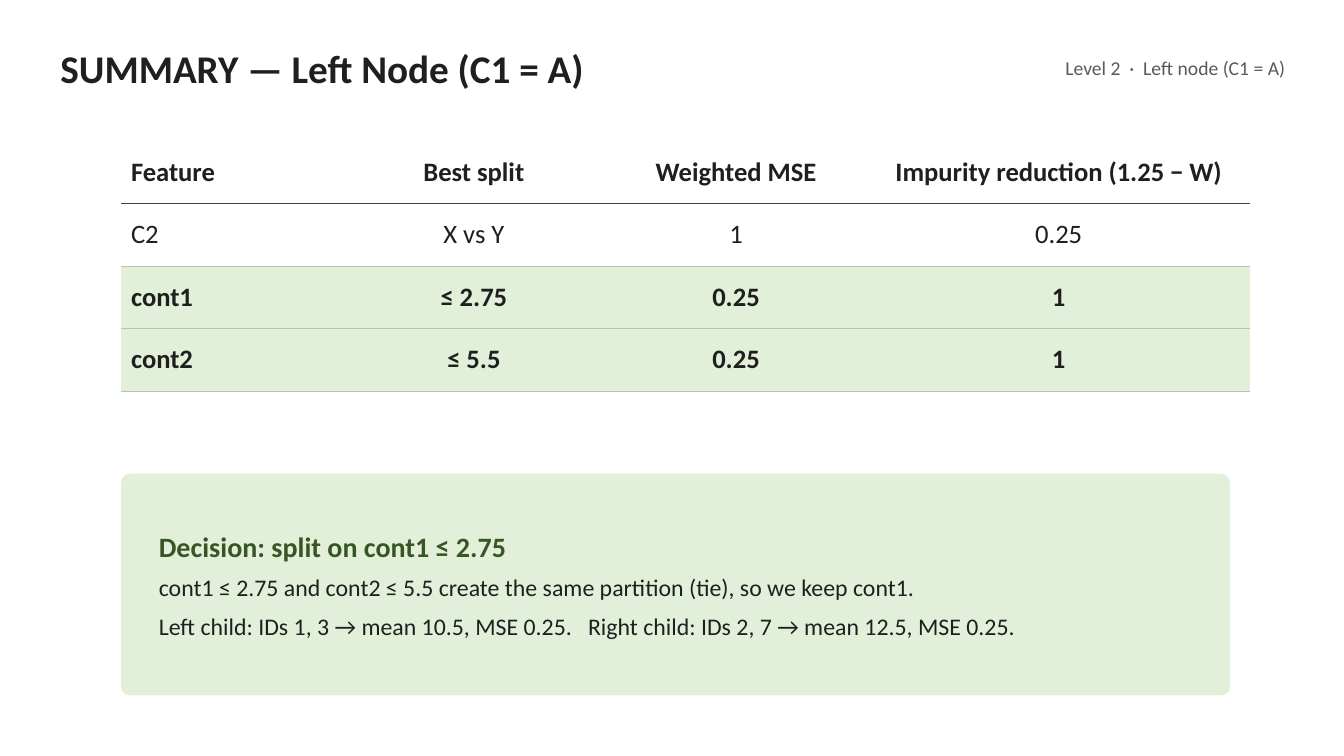
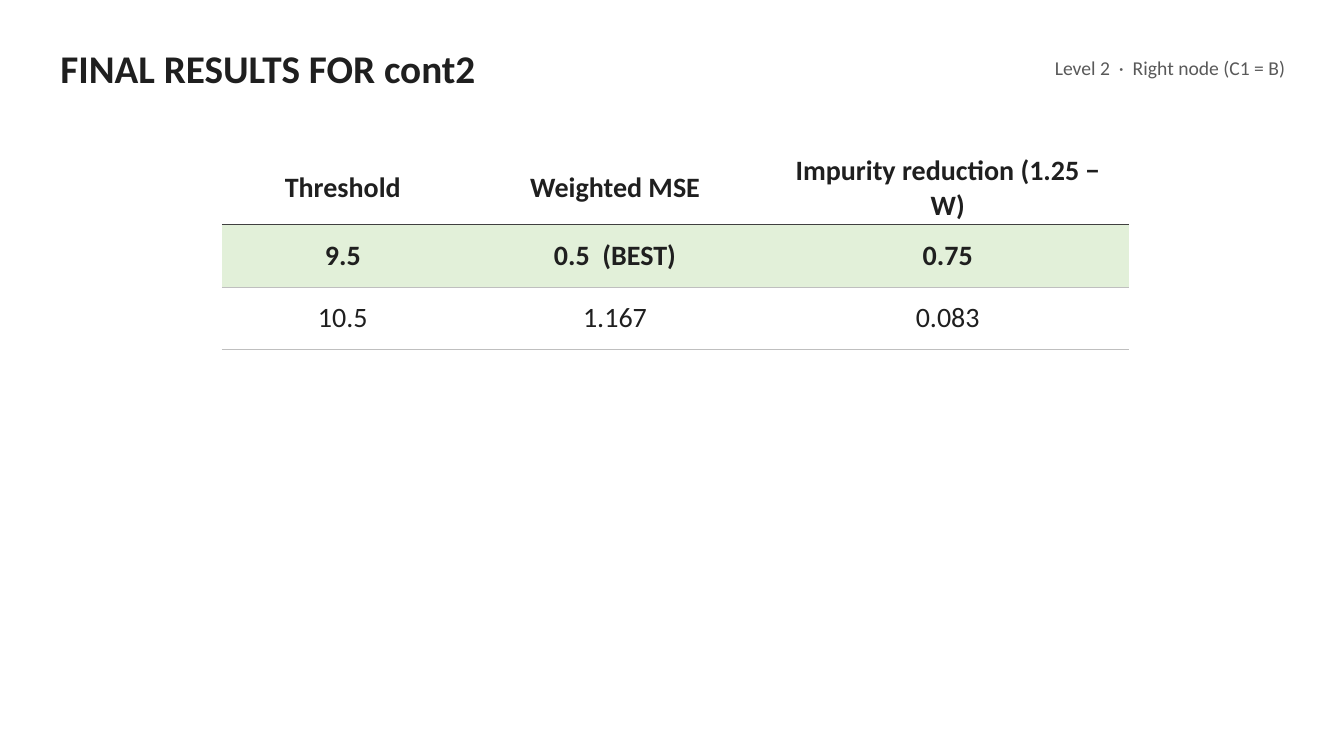
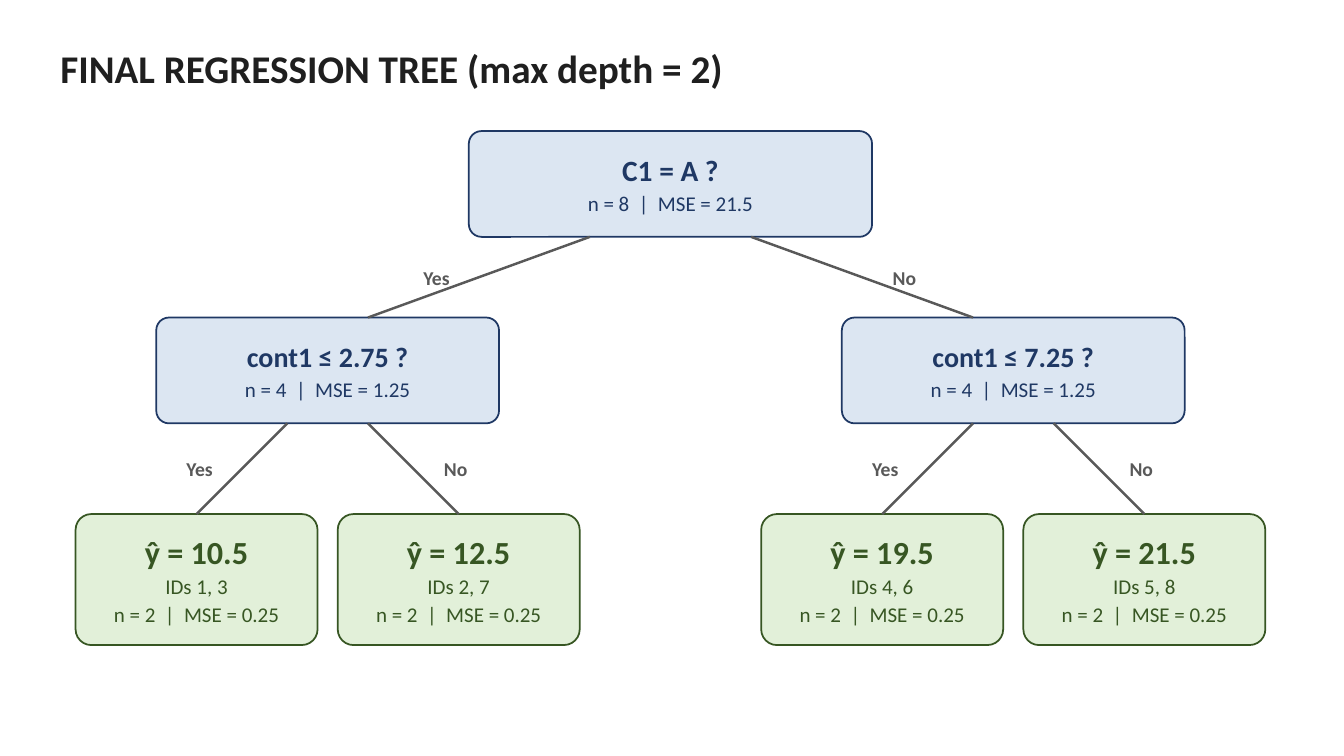
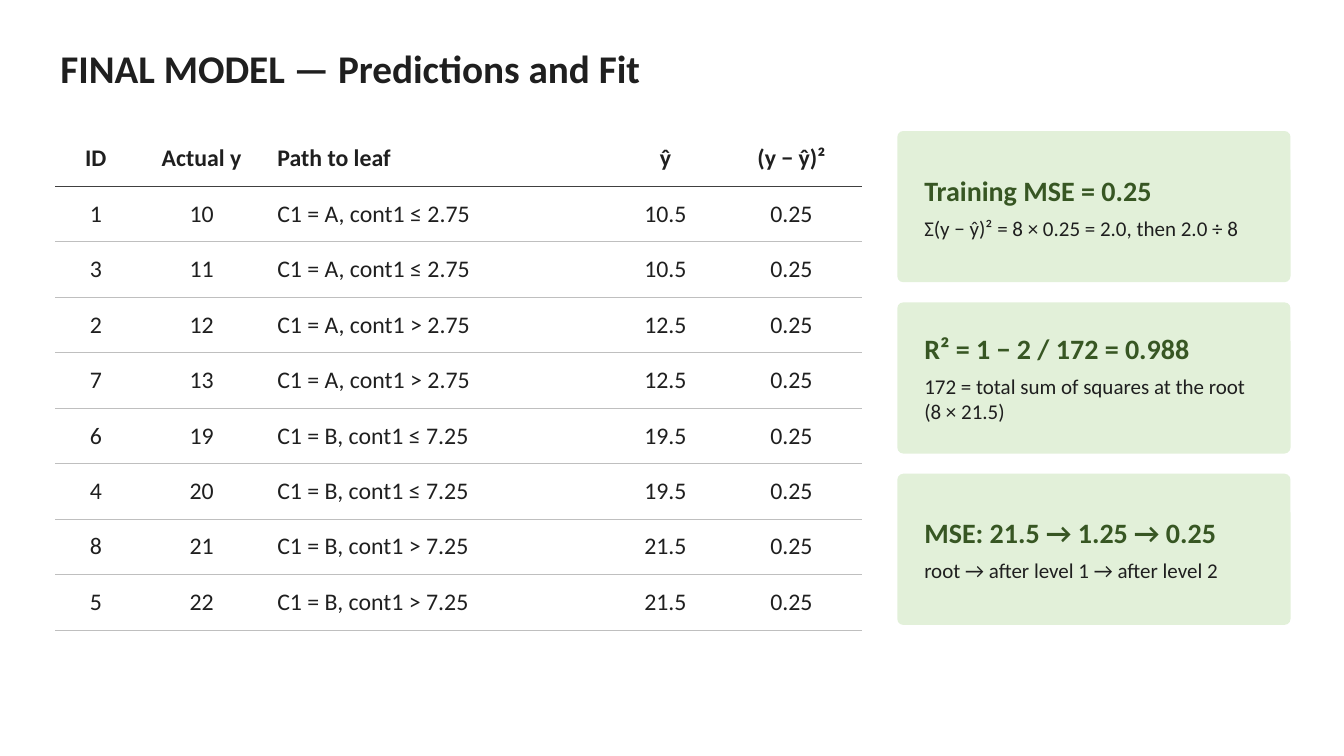
from dataclasses import dataclass

from lxml.etree import SubElement
from pptx import Presentation
from pptx.dml.color import RGBColor
from pptx.enum.shapes import MSO_CONNECTOR, MSO_SHAPE
from pptx.enum.text import MSO_ANCHOR, MSO_AUTO_SIZE, PP_ALIGN
from pptx.oxml import parse_xml
from pptx.oxml.ns import nsdecls, qn
from pptx.util import Inches, Pt


@dataclass(frozen=True)
class Theme:
    font: str = "Calibri"
    ink: str = "1F1F1F"
    muted: str = "595959"
    green: str = "375623"
    pale_green: str = "E2F0D9"
    navy: str = "1F3864"
    pale_blue: str = "DCE6F2"
    header_rule: str = "404040"
    row_rule: str = "BFBFBF"
    title_size: int = 28
    tag_size: int = 14
    card_heading_size: int = 20
    node_detail_size: int = 15
    no_table_style: str = "{2D5ABB26-0587-4C30-8999-92F81FD0307C}"


@dataclass(frozen=True)
class Box:
    left: float
    top: float
    width: float
    height: float

    def lengths(self):
        return [Inches(n) for n in (self.left, self.top, self.width, self.height)]


@dataclass(frozen=True)
class Line:
    text: str
    size: int
    color: str
    bold: bool = False


THEME = Theme()


def rgb(color):
    return RGBColor.from_string(color)


def write(frame, lines, align=PP_ALIGN.LEFT, after=0, margins=(0.05, 0.03)):
    frame.word_wrap = True
    frame.vertical_anchor = MSO_ANCHOR.MIDDLE
    frame.margin_left = frame.margin_right = Inches(margins[0])
    frame.margin_top = frame.margin_bottom = Inches(margins[1])
    frame.text = "\n".join(line.text for line in lines)
    for paragraph, line in zip(frame.paragraphs, lines):
        paragraph.alignment = align
        paragraph.space_after = Pt(after)
        for run in paragraph.runs:
            run.font.name = THEME.font
            run.font.size = Pt(line.size)
            run.font.bold = line.bold
            run.font.color.rgb = rgb(line.color)


def add_label(slide, box, line, align=PP_ALIGN.LEFT):
    frame = slide.shapes.add_textbox(*box.lengths()).text_frame
    write(frame, [line], align, after=4)
    frame.auto_size = MSO_AUTO_SIZE.SHAPE_TO_FIT_TEXT


def add_panel(slide, box, fill, rounding, outline=None):
    panel = slide.shapes.add_shape(MSO_SHAPE.ROUNDED_RECTANGLE, *box.lengths())
    panel.shadow.inherit = False
    panel.adjustments[0] = rounding
    panel.fill.solid()
    panel.fill.fore_color.rgb = rgb(fill)
    if outline:
        panel.line.color.rgb = rgb(outline)
        panel.line.width = Pt(1.25)
    else:
        panel.line.fill.background()
    return panel


def add_card(slide, box, heading, details, size, after, padding):
    card = add_panel(slide, box, THEME.pale_green, 0.04)
    lines = [Line(heading, THEME.card_heading_size, THEME.green, True)]
    lines += [Line(detail, size, THEME.ink) for detail in details]
    write(card.text_frame, lines, after=after, margins=(padding, 0.13))


def start_slide(deck, title, tag=None):
    slide = deck.slides.add_slide(deck.slide_layouts[6])
    title_box = Box(0.55, 0.3, 9 if tag else 12.2, 0.75)
    add_label(slide, title_box, Line(title, THEME.title_size, THEME.ink, True))
    if tag:
        add_label(slide, Box(8.9, 0.42, 3.9, 0.5),
                  Line(tag, THEME.tag_size, THEME.muted), PP_ALIGN.RIGHT)
    return slide


def rule_below(cell, color, points):
    cell.fill._xPr.insert(0, parse_xml(
        f'<a:lnB {nsdecls("a")} w="{Pt(points)}"><a:solidFill>'
        f'<a:srgbClr val="{color}"/></a:solidFill></a:lnB>'))


def add_grid(slide, left, top, widths, row_height, rows, size,
             best_rows=(), left_column=None):
    box = Box(left, top, sum(widths), row_height * len(rows))
    grid = slide.shapes.add_table(len(rows), len(widths), *box.lengths()).table
    grid.first_row = grid.horz_banding = False
    grid._tbl.tblPr.find(qn("a:tableStyleId")).text = THEME.no_table_style
    for column, width in zip(grid.columns, widths):
        column.width = Inches(width)
    for r, row in enumerate(rows):
        grid.rows[r].height = Inches(row_height)
        for c, value in enumerate(row):
            cell = grid.cell(r, c)
            align = PP_ALIGN.LEFT if c == left_column else PP_ALIGN.CENTER
            line = Line(value, size, THEME.ink, r == 0 or r in best_rows)
            write(cell.text_frame, [line], align)
            cell.vertical_anchor = MSO_ANCHOR.MIDDLE
            cell.margin_left = cell.margin_right = Inches(0.1)
            cell.margin_top = cell.margin_bottom = Inches(0.03)
            if r in best_rows:
                cell.fill.solid()
                cell.fill.fore_color.rgb = rgb(THEME.pale_green)
            else:
                cell.fill.background()
            if r == 0:
                rule_below(cell, THEME.header_rule, 1.5)
            else:
                rule_below(cell, THEME.row_rule, 0.75)


def add_node(slide, center, top, width, height, size, texts, fill, ink):
    node = add_panel(slide, Box(center - width / 2, top, width, height),
                     fill, 0.12, ink)
    lines = [Line(texts[0], size, ink, True)]
    lines += [Line(text, THEME.node_detail_size, ink) for text in texts[1:]]
    write(node.text_frame, lines, PP_ALIGN.CENTER, after=2, margins=(0.08, 0.04))
    return node


def add_branch(slide, start, end, side, leaf=None):
    branch = slide.shapes.add_connector(
        MSO_CONNECTOR.STRAIGHT, *[Inches(n) for n in (*start, *end)])
    branch.line.color.rgb = rgb(THEME.muted)
    branch.line.width = Pt(1.75)
    SubElement(branch._element.spPr, qn("a:effectLst"))
    if leaf:
        branch.end_connect(leaf, 0)
    label_x = (start[0] + end[0]) / 2 + side * 0.42
    label_y = (start[1] + end[1]) / 2
    add_label(slide, Box(label_x - 0.3, label_y - 0.16, 0.6, 0.32),
              Line("Yes" if side < 0 else "No", THEME.tag_size, THEME.muted, True),
              PP_ALIGN.CENTER)


def add_tree(slide, box, root, branches):
    question = dict(height=1.05, fill=THEME.pale_blue, ink=THEME.navy)
    middle = box.left + box.width / 2
    split_top, leaf_top = box.top + 1.85, box.top + 3.8
    add_node(slide, middle, box.top, 4, size=21, texts=root, **question)
    for side, (split, leaves) in zip((-1, 1), branches):
        center = middle + side * 3.4
        add_node(slide, center, split_top, 3.4, size=20, texts=split, **question)
        add_branch(slide, (middle + side * 0.8, box.top + 1.05),
                   (center - side * 0.4, split_top), side)
        for leaf_side, texts in zip((-1, 1), leaves):
            leaf_center = center + leaf_side * 1.3
            leaf = add_node(slide, leaf_center, leaf_top, 2.4, box.height - 3.8,
                            23, texts, THEME.pale_green, THEME.green)
            add_branch(slide, (center + leaf_side * 0.4, split_top + 1.05),
                       (leaf_center, leaf_top), leaf_side, leaf)


def build_left_summary(deck):
    slide = start_slide(deck, "SUMMARY — Left Node (C1 = A)",
                        "Level 2  ·  Left node (C1 = A)")
    rows = [
        ("Feature", "Best split", "Weighted MSE", "Impurity reduction (1.25 − W)"),
        ("C2", "X vs Y", "1", "0.25"),
        ("cont1", "≤ 2.75", "0.25", "1"),
        ("cont2", "≤ 5.5", "0.25", "1"),
    ]
    add_grid(slide, 1.2, 1.4, (2.2, 2.6, 2.6, 3.8), 0.62, rows, 19,
             best_rows=(2, 3), left_column=0)
    add_card(slide, Box(1.2, 4.7, 11, 2.2), "Decision: split on cont1 ≤ 2.75", [
        "cont1 ≤ 2.75 and cont2 ≤ 5.5 create the same partition (tie), so we keep cont1.",
        "Left child: IDs 1, 3 → mean 10.5, MSE 0.25.   Right child: IDs 2, 7 → mean 12.5, MSE 0.25.",
    ], size=17, after=7, padding=0.35)


def build_cont2_results(deck):
    slide = start_slide(deck, "FINAL RESULTS FOR cont2",
                        "Level 2  ·  Right node (C1 = B)")
    rows = [
        ("Threshold", "Weighted MSE", "Impurity reduction (1.25 − W)"),
        ("9.5", "0.5  (BEST)", "0.75"),
        ("10.5", "1.167", "0.083"),
    ]
    add_grid(slide, 2.2, 1.5, (2.4, 3, 3.6), 0.62, rows, 20, best_rows=(1,))


def build_final_tree(deck):
    slide = start_slide(deck, "FINAL REGRESSION TREE (max depth = 2)")
    split_stats, leaf_stats = "n = 4  |  MSE = 1.25", "n = 2  |  MSE = 0.25"
    branches = [
        (("cont1 ≤ 2.75 ?", split_stats),
         [("ŷ = 10.5", "IDs 1, 3", leaf_stats), ("ŷ = 12.5", "IDs 2, 7", leaf_stats)]),
        (("cont1 ≤ 7.25 ?", split_stats),
         [("ŷ = 19.5", "IDs 4, 6", leaf_stats), ("ŷ = 21.5", "IDs 5, 8", leaf_stats)]),
    ]
    add_tree(slide, Box(0.75, 1.3, 11.8, 5.1),
             ("C1 = A ?", "n = 8  |  MSE = 21.5"), branches)


def build_predictions(deck):
    slide = start_slide(deck, "FINAL MODEL — Predictions and Fit")
    rows = [
        ("ID", "Actual y", "Path to leaf", "ŷ", "(y − ŷ)²"),
        ("1", "10", "C1 = A, cont1 ≤ 2.75", "10.5", "0.25"),
        ("3", "11", "C1 = A, cont1 ≤ 2.75", "10.5", "0.25"),
        ("2", "12", "C1 = A, cont1 > 2.75", "12.5", "0.25"),
        ("7", "13", "C1 = A, cont1 > 2.75", "12.5", "0.25"),
        ("6", "19", "C1 = B, cont1 ≤ 7.25", "19.5", "0.25"),
        ("4", "20", "C1 = B, cont1 ≤ 7.25", "19.5", "0.25"),
        ("8", "21", "C1 = B, cont1 > 7.25", "21.5", "0.25"),
        ("5", "22", "C1 = B, cont1 > 7.25", "21.5", "0.25"),
    ]
    add_grid(slide, 0.55, 1.3, (0.8, 1.3, 3.4, 1.1, 1.4), 0.55, rows, 17,
             left_column=2)
    measures = [
        ("Training MSE = 0.25", "Σ(y − ŷ)² = 8 × 0.25 = 2.0, then 2.0 ÷ 8"),
        ("R² = 1 − 2 / 172 = 0.988", "172 = total sum of squares at the root (8 × 21.5)"),
        ("MSE: 21.5 → 1.25 → 0.25", "root → after level 1 → after level 2"),
    ]
    for i, (heading, detail) in enumerate(measures):
        add_card(slide, Box(8.9, 1.3 + i * 1.7, 3.9, 1.5), heading, [detail],
                 size=15, after=6, padding=0.25)


def main():
    deck = Presentation()
    deck.slide_width, deck.slide_height = Inches(13.33), Inches(7.5)
    for build in (build_left_summary, build_cont2_results,
                  build_final_tree, build_predictions):
        build(deck)
    deck.save("out.pptx")


if __name__ == "__main__":
    main()
